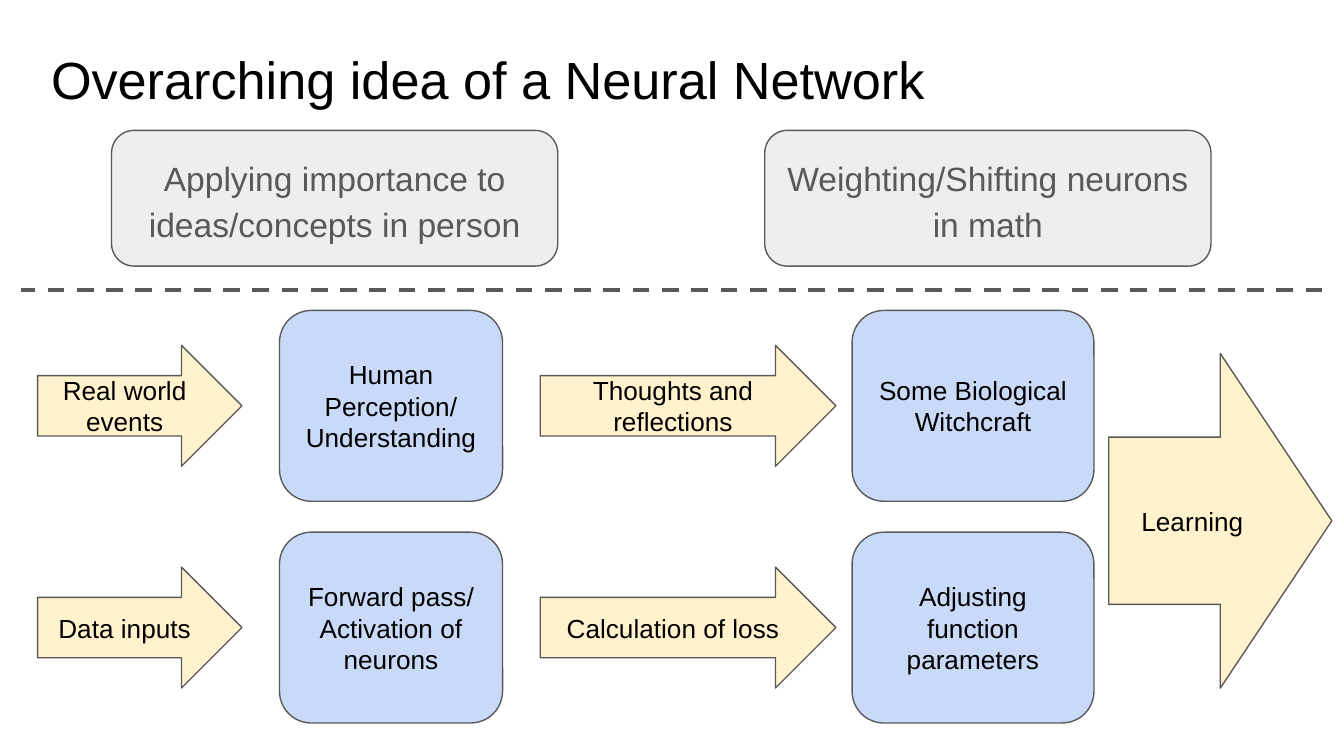
import pptx
import pptx.util
import pptx.dml.color
import pptx.enum.dml
import pptx.enum.shapes
import pptx.enum.text
import pptx.oxml.ns
import lxml.etree

Inches, Pt = pptx.util.Inches, pptx.util.Pt
Align, Anchor = pptx.enum.text.PP_ALIGN, pptx.enum.text.MSO_ANCHOR
Shape = pptx.enum.shapes.MSO_SHAPE

THEME = {
    "font": "Arial", "ink": "000000", "outline": "595959",
    "header": "EEEEEE", "stage": "C9DAF8", "flow": "FFF2CC",
    "title_size": 28, "header_size": 18, "label_size": 14,
}

TITLE = "Overarching idea of a Neural Network"
HEADERS = ["Applying importance to ideas/concepts in person",
           "Weighting/Shifting neurons in math"]
# Each row alternates arrow, stage, arrow, stage; a stage may hold several paragraphs.
ROWS = [
    [["Real world events"], ["Human Perception/", "Understanding"],
     ["Thoughts and reflections"], ["Some Biological", "Witchcraft"]],
    [["Data inputs"], ["Forward pass/ Activation of neurons"],
     ["Calculation of loss"], ["Adjusting function parameters"]],
]
OUTCOME = ["Learning"]

COLUMNS = [(0.28, 1.52), (2.08, 1.66), (4.02, 2.2), (6.34, 1.8)]  # left, width
ROW_CENTRES = [3.02, 4.67]
ARROW_HEIGHT, STAGE_HEIGHT = 0.9, 1.42
HEADER_LEFTS = [0.83, 5.69]


def colour(name):
    return pptx.dml.color.RGBColor.from_string(THEME[name])


def write(frame, paragraphs, size, ink, paragraph_format, anchor):
    frame_format = {
        "word_wrap": True, "auto_size": pptx.enum.text.MSO_AUTO_SIZE.NONE,
        "vertical_anchor": anchor,
        **{f"margin_{side}": Inches(0.1) for side in ("left", "top", "right", "bottom")},
    }
    for key, value in frame_format.items():
        setattr(frame, key, value)
    frame.text = "\n".join(paragraphs)
    for paragraph in frame.paragraphs:
        for key, value in paragraph_format.items():
            setattr(paragraph, key, value)
        paragraph.font.name = THEME["font"]
        paragraph.font.size = Pt(THEME[size])
        paragraph.font.color.rgb = colour(ink)


def add_block(slide, kind, box, fill, paragraphs, size="label_size", ink="ink", **spacing):
    block = slide.shapes.add_shape(kind, *map(Inches, box))
    block.shadow.inherit = False
    block.fill.solid()
    block.fill.fore_color.rgb = colour(fill)
    block.line.color.rgb = colour("outline")
    block.line.width = Pt(0.75)
    write(block.text_frame, paragraphs, size, ink,
          {"alignment": Align.CENTER, **spacing}, Anchor.MIDDLE)


def add_divider(slide):
    divider = slide.shapes.add_connector(
        pptx.enum.shapes.MSO_CONNECTOR.STRAIGHT,
        Inches(9.84), Inches(2.16), Inches(0.16), Inches(2.16))
    divider.line.color.rgb = colour("outline")
    divider.line.width = Pt(2.25)
    divider.line.dash_style = pptx.enum.dml.MSO_LINE.DASH
    lxml.etree.SubElement(divider._element.spPr, pptx.oxml.ns.qn("a:effectLst"))


def main():
    deck = pptx.Presentation()
    deck.slide_width = Inches(10)
    deck.slide_height = deck.slide_width * 9 // 16
    slide = deck.slides.add_slide(deck.slide_layouts[5])

    title = slide.shapes.title
    title_box = {"left": 0.28, "top": 0.18, "width": 9.32, "height": 0.63}
    for key, value in title_box.items():
        setattr(title, key, Inches(value))
    write(title.text_frame, [TITLE], "title_size", "ink",
          {"alignment": Align.LEFT, "line_spacing": 1.15}, Anchor.TOP)

    for row, centre in zip(ROWS, ROW_CENTRES):
        for index, (label, (left, width)) in enumerate(zip(row, COLUMNS)):
            if index % 2:
                kind, height, fill = Shape.ROUNDED_RECTANGLE, STAGE_HEIGHT, "stage"
            else:
                kind, height, fill = Shape.RIGHT_ARROW, ARROW_HEIGHT, "flow"
            add_block(slide, kind, (left, centre - height / 2, width, height), fill, label)
    add_block(slide, Shape.RIGHT_ARROW, (8.25, 2.63, 1.66, 2.49), "flow", OUTCOME)

    for left, header in zip(HEADER_LEFTS, HEADERS):
        add_block(slide, Shape.ROUNDED_RECTANGLE, (left, 0.97, 3.32, 1.01), "header",
                  [header], "header_size", "outline",
                  line_spacing=1.15, space_after=Pt(16))
    add_divider(slide)
    deck.save("out.pptx")


if __name__ == "__main__":
    main()
